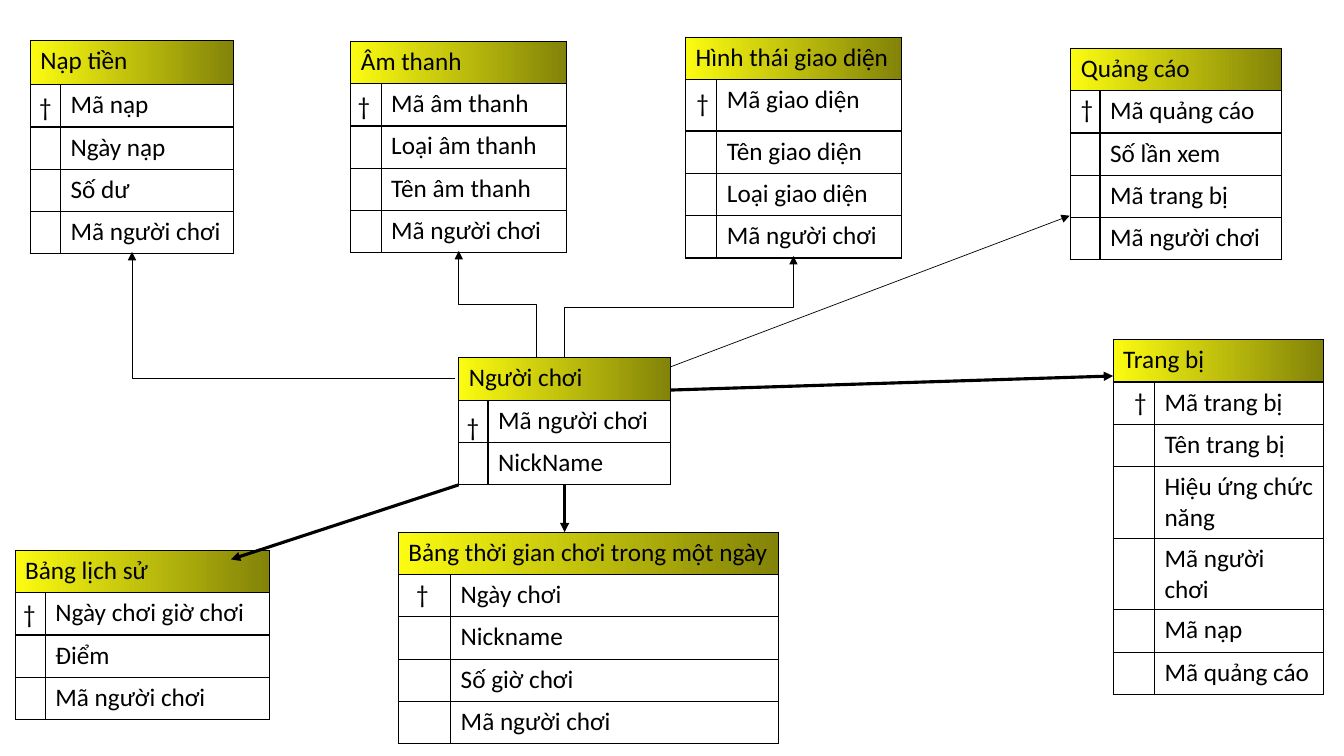
from lxml.etree import SubElement
from pptx import Presentation
from pptx.dml.color import RGBColor
from pptx.enum.shapes import MSO_CONNECTOR as Route
from pptx.oxml.ns import qn
from pptx.util import Pt

PX = 9144  # EMU in one px, 100 px to the inch
BLACK, YELLOW, OLIVE = "000000", "FBFB11", "838309"
ROW = 42
PLAYER_ID = "Mã người chơi"

# title, (left, top), (key column, field column), fields, row heights that differ
ENTITIES = [
    ("Người chơi", (455, 355), (29, 181), [PLAYER_ID, "NickName"], {}),
    ("Nạp tiền", (30, 40), (30, 172),
     ["Mã nạp", "Ngày nạp", "Số dư", PLAYER_ID], {0: 44}),
    ("Trang bị", (1104, 337), (41, 168),
     ["Mã trang bị", "Tên trang bị", "Hiệu ứng chức năng", PLAYER_ID,
      "Mã nạp", "Mã quảng cáo"], {3: 70, 4: 70}),
    ("Quảng cáo", (1062, 48), (29, 180),
     ["Mã quảng cáo", "Số lần xem", "Mã trang bị", PLAYER_ID], {}),
    ("Bảng lịch sử", (15, 546), (30, 222),
     ["Ngày chơi giờ chơi", "Điểm", PLAYER_ID], {}),
    ("Bảng thời gian chơi trong một ngày", (395, 528), (52, 325),
     ["Ngày chơi", "Nickname", "Số giờ chơi", PLAYER_ID], {}),
    ("Âm thanh", (348, 41), (30, 184),
     ["Mã âm thanh", "Loại âm thanh", "Tên âm thanh", PLAYER_ID], {}),
    ("Hình thái giao diện", (680, 37), (31, 183),
     ["Mã giao diện", "Tên giao diện", "Loại giao diện", PLAYER_ID], {1: 51}),
]

# left, top, width of each primary key mark
KEY_MARKS = [
    (1062, 88, 35), (1115, 378, 35), (29, 86, 35), (453, 403, 35),
    (13, 589, 28), (403, 569, 29), (345, 85, 23), (681, 82, 26),
]


def px(*lengths):
    return [round(length * PX) for length in lengths]


def color(hex_code):
    return RGBColor.from_string(hex_code)


def write(frame, text, size=18, font="Calibri", ink=BLACK):
    frame.word_wrap = True
    run = frame.paragraphs[0].add_run()
    run.text = text
    run.font.size, run.font.name = Pt(size), font
    run.font.color.rgb = color(ink)


def add_borders(cell):
    properties = cell._tc.get_or_add_tcPr()
    for side in ("a:lnL", "a:lnR", "a:lnT", "a:lnB"):
        border = SubElement(properties, qn(side), w=str(Pt(1)))
        solid = SubElement(border, qn("a:solidFill"))
        SubElement(solid, qn("a:srgbClr"), val=BLACK)


def add_entity(slide, title, corner, widths, fields, tall_rows):
    heights = [tall_rows.get(i, ROW) for i in range(len(fields) + 1)]
    frame = slide.shapes.add_table(
        len(heights), 2, *px(*corner, sum(widths), sum(heights)))
    table = frame.table
    table.first_row = table.horz_banding = False
    for column, width in zip(table.columns, px(*widths)):
        column.width = width
    for row, height in zip(table.rows, px(*heights)):
        row.height = height
    for cell in table.iter_cells():
        add_borders(cell)
        cell.fill.background()

    # Header with a left-to-right gradient
    header = table.cell(0, 0)
    header.merge(table.cell(0, 1))
    header.fill.gradient()
    header.fill.gradient_angle = 0
    for stop, shade in zip(header.fill.gradient_stops, (YELLOW, OLIVE)):
        stop.color.rgb = color(shade)
    write(header.text_frame, title)

    for i, field in enumerate(fields, 1):
        write(table.cell(i, 1).text_frame, field)
    return frame


def add_key_mark(slide, left, top, width):
    box = slide.shapes.add_textbox(*px(left, top, width, 40))
    write(box.text_frame, "†")


def add_arrow(slide, start, end, weight, route=Route.STRAIGHT):
    arrow = slide.shapes.add_connector(route, *px(*start, *end))
    arrow.line.color.rgb = color(BLACK)
    arrow.line.width = Pt(weight)
    SubElement(arrow.line._get_or_add_ln(), qn("a:tailEnd"), type="triangle")
    SubElement(arrow._element.spPr, qn("a:effectLst"))
    return arrow


def add_corner_arrow(slide, start, end):
    """One bend: across first, then up."""
    arrow = add_arrow(slide, start, end, 0.5, Route.ELBOW)
    arrow._element.spPr.find(qn("a:prstGeom")).set("prst", "bentConnector2")


def add_step_arrow(slide, start, end):
    """Two bends, leaving and arriving vertically: an elbow turned by 270°."""
    mid_x, mid_y = (start[0] + end[0]) / 2, (start[1] + end[1]) / 2
    turned = [(mid_x - (y - mid_y), mid_y + (x - mid_x)) for x, y in (start, end)]
    arrow = add_arrow(slide, *turned, 0.5, Route.ELBOW)
    arrow._element.spPr.find(qn("a:xfrm")).set("rot", str(270 * 60000))


def main():
    deck = Presentation()
    deck.slide_width, deck.slide_height = px(1333, 750)
    slide = deck.slides.add_slide(deck.slide_layouts[6])

    # Entity tables and their primary keys
    entities = {entity[0]: add_entity(slide, *entity) for entity in ENTITIES}
    for mark in KEY_MARKS:
        add_key_mark(slide, *mark)

    # Heavy relations from the player
    add_arrow(slide, (665, 387), (1104, 373), 2.25)
    add_arrow(slide, (455, 481), (229, 555), 2.25)
    play_time = add_arrow(slide, (560, 481), (560, 528), 2.25)
    play_time.begin_connect(entities["Người chơi"], 2)

    # Thin relations from the player
    add_arrow(slide, (665, 364), (1061, 214), 0.5)
    add_step_arrow(slide, (532, 355), (455, 249))
    add_step_arrow(slide, (560, 355), (787, 254))
    add_corner_arrow(slide, (451, 375), (131, 250))

    deck.save("out.pptx")


if __name__ == "__main__":
    main()
